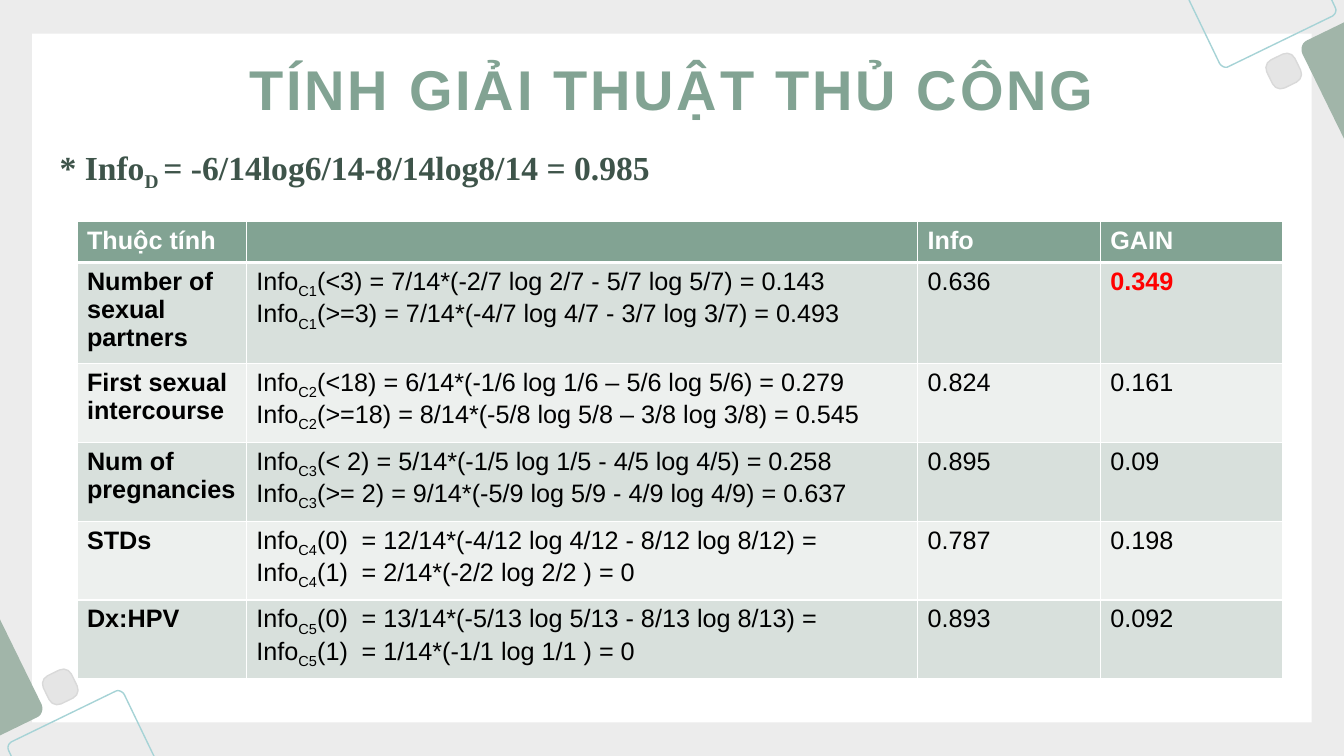
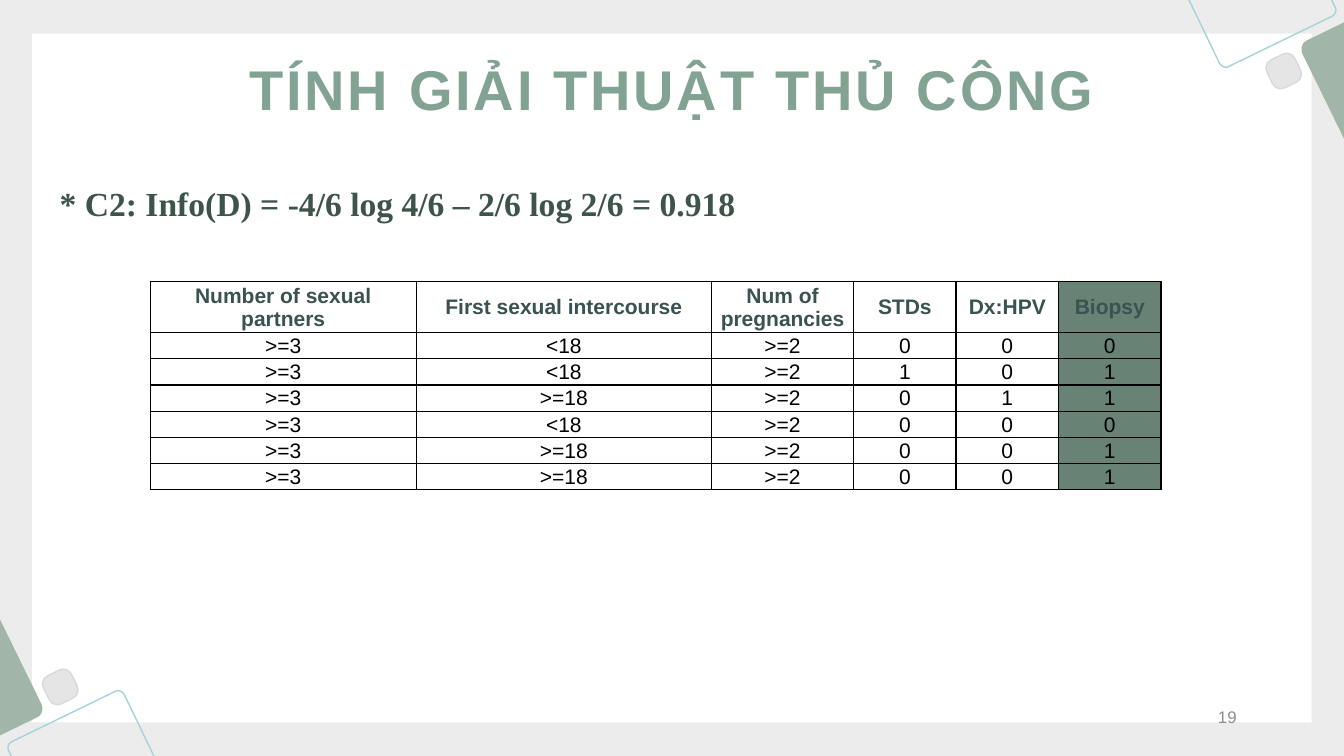
from lxml import etree
from pptx import Presentation
from pptx.dml.color import RGBColor
from pptx.enum.shapes import MSO_SHAPE
from pptx.enum.text import MSO_ANCHOR, PP_ALIGN
from pptx.oxml.ns import qn
from pptx.util import Pt

RECT, ROUND = MSO_SHAPE.RECTANGLE, MSO_SHAPE.ROUNDED_RECTANGLE
LEFT, CENTER, RIGHT = PP_ALIGN.LEFT, PP_ALIGN.CENTER, PP_ALIGN.RIGHT
TOP, MIDDLE = MSO_ANCHOR.TOP, MSO_ANCHOR.MIDDLE

WIDTH, HEIGHT = 960, 540
SANS, SERIF = "Arial", "Times New Roman"
WHITE, BLACK, RED = "FFFFFF", "000000", "FF0000"
BACKDROP, SAGE, PALE_SAGE = "ECECEC", "82A393", "A1B5A9"
FOREST, TEAL, MOSS = "3E544A", "3A5250", "698276"
BAND_DARK, BAND_LIGHT = "D8E0DC", "EDF0EE"
AQUA, PEBBLE, PEBBLE_EDGE, GREY = "A6D3D6", "E5E5E5", "D9D9D9", "8C8C8C"
DEFAULT_INSETS = (7.2, 3.6, 7.2, 3.6)

# Top right ornaments; a group of three points is a Bezier curve.
CARD = [(849, -0.7), (951, -0.7), (954, 5.8),
        ((954.7, 7.9), (954, 10), (951.8, 11.5)), (877.7, 47.5),
        ((875.5, 49), (872.6, 47.5), (871.2, 45.4))]
TILE = [(960.5, 15.8), (960.5, 100), (930.2, 38.2),
        ((928.8, 34.6), (930.2, 30.2), (933.8, 28.8))]
PEBBLE_X, PEBBLE_Y, PEBBLE_SIZE = 905.8, 39.6, 22.3
TURN_X, TURN_Y = 960, 541.4  # sums of opposite corner coordinates

TITLE = "TÍNH GIẢI THUẬT THỦ CÔNG"


def rgb(value):
    return RGBColor.from_string(value)


def flatten(outline, steps=6):
    """Replace each curve of an outline by short straight segments."""
    points = []
    for item in outline:
        if len(item) == 2:
            points.append(item)
            continue
        a, (b, c, d) = points[-1], item
        for i in range(1, steps + 1):
            t = i / steps
            u = 1 - t
            points.append(tuple(
                u**3 * a[k] + 3 * u * u * t * b[k]
                + 3 * u * t * t * c[k] + t**3 * d[k] for k in (0, 1)))
    return points


def write(tf, text, font=SANS, size=18, color=BLACK, bold=False, align=LEFT,
          spacing=0, tab=None):
    """Fill a text frame; parts between bars are subscripts."""
    for i, line in enumerate(text.split("\n")):
        p = tf.add_paragraph() if i else tf.paragraphs[0]
        p.alignment = align
        if tab and "\t" in line:
            stops = etree.SubElement(p._p.get_or_add_pPr(), qn("a:tabLst"))
            etree.SubElement(stops, qn("a:tab"), pos=str(Pt(tab)), algn="l")
        p.font.size = Pt(size)
        for j, part in enumerate(line.split("|")):
            if not part:
                continue
            r = p.add_run()
            r.text = part
            r.font.name, r.font.size, r.font.bold = font, Pt(size), bold
            r.font.color.rgb = rgb(color)
            rPr = r._r.get_or_add_rPr()
            if spacing:
                rPr.set("spc", str(spacing * 100))
            if j % 2:
                rPr.set("baseline", "-25000")


def set_border(cell, edge, color, width):
    ln = etree.SubElement(cell._tc.get_or_add_tcPr(), qn("a:ln" + edge),
                          w=str(Pt(width)))
    fill = etree.SubElement(ln, qn("a:solidFill"))
    etree.SubElement(fill, qn("a:srgbClr"), val=color)


class Deck:
    def __init__(self):
        self.prs = Presentation()
        self.prs.slide_width, self.prs.slide_height = Pt(WIDTH), Pt(HEIGHT)
        fill = self.prs.slide_master.background.fill
        fill.solid()
        fill.fore_color.rgb = rgb(BACKDROP)
        self.s = None

    def paint(self, sp, fill=None, line=None):
        sp.shadow.inherit = False
        if fill:
            sp.fill.solid()
            sp.fill.fore_color.rgb = rgb(fill)
        else:
            sp.fill.background()
        if line:
            sp.line.color.rgb = rgb(line)
            sp.line.width = Pt(1)
        else:
            sp.line.fill.background()

    def shape(self, kind, x, y, w, h, **style):
        sp = self.s.shapes.add_shape(kind, Pt(x), Pt(y), Pt(w), Pt(h))
        self.paint(sp, **style)
        return sp

    def outline(self, points, **style):
        start, *rest = [(Pt(x), Pt(y)) for x, y in points]
        builder = self.s.shapes.build_freeform(*start)
        builder.add_line_segments(rest, close=True)
        self.paint(builder.convert_to_shape(), **style)

    def ornaments(self, turned):
        """Draw the corner ornaments, turned by 180 degrees if asked."""
        for outline, style in ((CARD, {"line": AQUA}),
                               (TILE, {"fill": PALE_SAGE})):
            points = flatten(outline)
            if turned:
                points = [(TURN_X - x, TURN_Y - y) for x, y in points]
            self.outline(points, **style)
        x, y = PEBBLE_X, PEBBLE_Y
        if turned:
            x, y = TURN_X - x - PEBBLE_SIZE, TURN_Y - y - PEBBLE_SIZE
        sp = self.shape(ROUND, x, y, PEBBLE_SIZE, PEBBLE_SIZE,
                        fill=PEBBLE, line=PEBBLE_EDGE)
        sp.adjustments[0] = 0.29
        sp.rotation = 154 if turned else 334

    def text(self, x, y, w, h, text, **fmt):
        tf = self.s.shapes.add_textbox(Pt(x), Pt(y), Pt(w), Pt(h)).text_frame
        tf.word_wrap = True
        tf.vertical_anchor = MIDDLE
        write(tf, text, **fmt)

    def slide(self, title):
        self.s = self.prs.slides.add_slide(self.prs.slide_layouts[6])
        self.shape(RECT, 23, 24, 914, 492, fill=WHITE)
        for turned in (False, True):
            self.ornaments(turned)
        self.text(101, 21.4, 758, 83.5, title, size=40, color=SAGE, bold=True,
                  align=CENTER, spacing=2)

    def formula(self, y, text):
        self.text(35.5, y, 875.5, 72.7, text, font=SERIF, size=24,
                  color=FOREST, bold=True)

    def page_number(self, number):
        self.text(678, 499.7, 212.4, 25.2, number, size=12, color=GREY,
                  align=RIGHT)

    def table(self, x, y, widths, heights, rows, style, border, header_rule=1,
              insets=DEFAULT_INSETS, anchor=TOP):
        """Draw a table; style(row, column) gives a cell's fill and format."""
        table = self.s.shapes.add_table(
            len(rows), len(widths), Pt(x), Pt(y),
            Pt(sum(widths)), Pt(sum(heights))).table
        table.first_row = table.horz_banding = False
        for column, width in zip(table.columns, widths):
            column.width = Pt(width)
        for row, height in zip(table.rows, heights):
            row.height = Pt(height)
        for i, row in enumerate(rows):
            for j, text in enumerate(row):
                cell = table.cell(i, j)
                for edge in "LRTB":
                    at_rule = (i, edge) in ((0, "B"), (1, "T"))
                    set_border(cell, edge, border,
                               header_rule if at_rule else 1)
                fill, fmt = style(i, j)
                cell.fill.solid()
                cell.fill.fore_color.rgb = rgb(fill)
                (cell.margin_left, cell.margin_top, cell.margin_right,
                 cell.margin_bottom) = map(Pt, insets)
                cell.vertical_anchor = anchor
                write(cell.text_frame, text, **fmt)


GAIN_ROWS = [
    ("Thuộc tính", "", "Info", "GAIN"),
    ("Number of sexual partners",
     "Info|C1|(<3) = 7/14*(-2/7 log 2/7 - 5/7 log 5/7) = 0.143\n"
     "Info|C1|(>=3) = 7/14*(-4/7 log 4/7 - 3/7 log 3/7) = 0.493",
     "0.636", "0.349"),
    ("First sexual intercourse",
     "Info|C2|(<18) = 6/14*(-1/6 log 1/6 – 5/6 log 5/6) = 0.279\n"
     "Info|C2|(>=18) = 8/14*(-5/8 log 5/8 – 3/8 log 3/8) = 0.545",
     "0.824", "0.161"),
    ("Num of pregnancies",
     "Info|C3|(< 2) = 5/14*(-1/5 log 1/5 - 4/5 log 4/5) = 0.258\n"
     "Info|C3|(>= 2) = 9/14*(-5/9 log 5/9 - 4/9 log 4/9) = 0.637",
     "0.895", "0.09"),
    ("STDs",
     "Info|C4|(0)\t= 12/14*(-4/12 log 4/12 - 8/12 log 8/12) =\n"
     "Info|C4|(1)\t= 2/14*(-2/2 log 2/2 ) = 0",
     "0.787", "0.198"),
    ("Dx:HPV",
     "Info|C5|(0)\t= 13/14*(-5/13 log 5/13 - 8/13 log 8/13) =\n"
     "Info|C5|(1)\t= 1/14*(-1/1 log 1/1 ) = 0",
     "0.893", "0.092"),
]

SAMPLE_ROWS = [
    ("Number of sexual partners", "First sexual intercourse",
     "Num of pregnancies", "STDs", "Dx:HPV", "Biopsy"),
    (">=3", "<18", ">=2", "0", "0", "0"),
    (">=3", "<18", ">=2", "1", "0", "1"),
    (">=3", ">=18", ">=2", "0", "1", "1"),
    (">=3", "<18", ">=2", "0", "0", "0"),
    (">=3", ">=18", ">=2", "0", "0", "1"),
    (">=3", ">=18", ">=2", "0", "0", "1"),
]


def gain_style(row, column):
    if row == 0:
        return SAGE, {"color": WHITE, "bold": True}
    best = (row, column) == (1, 3)
    return (BAND_DARK if row % 2 else BAND_LIGHT,
            {"color": RED if best else BLACK, "bold": best or column == 0,
             "tab": 75.2})


def sample_style(row, column):
    header = row == 0
    return (MOSS if column == 5 else WHITE,
            {"size": 15, "align": CENTER, "bold": header,
             "color": TEAL if header else BLACK})


def main():
    deck = Deck()

    deck.slide(TITLE)
    deck.table(55, 158.4, [121, 479.5, 130.5, 130.5],
               [29.2, 67] + [53.4] * 4, GAIN_ROWS, gain_style, WHITE,
               header_rule=3)
    deck.formula(85, "* Info|D |= -6/14log6/14-8/14log8/14 = 0.985")

    deck.slide(TITLE)
    deck.formula(108.7, "* C2: Info(D) = -4/6 log 4/6 – 2/6 log 2/6 = 0.918")
    deck.table(107.3, 200.9, [190, 211, 101.5] + [73.2] * 3,
               [34.6] + [18.4] * 6, SAMPLE_ROWS, sample_style, BLACK,
               insets=(0.7, 0.7, 0.7, 0), anchor=MIDDLE)
    deck.page_number("19")

    deck.prs.save("out.pptx")


if __name__ == "__main__":
    main()
